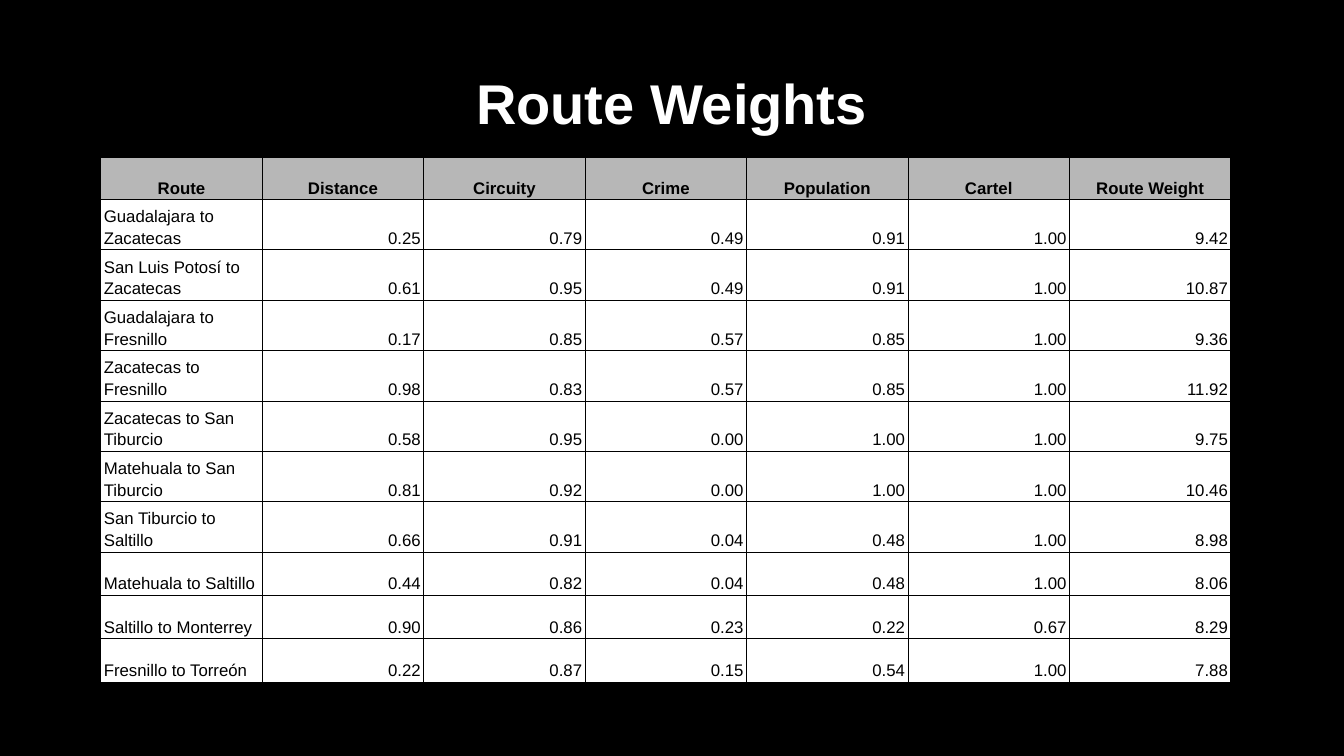
"""Build the Route Weights slide: a title above a table of route scores."""
from lxml.etree import SubElement
from pptx import Presentation
from pptx.dml.color import RGBColor
from pptx.enum.text import MSO_ANCHOR, PP_ALIGN
from pptx.oxml.ns import qn
from pptx.util import Inches, Pt

BLACK = RGBColor(0x00, 0x00, 0x00)
WHITE = RGBColor(0xFF, 0xFF, 0xFF)
HEADER_GRAY = RGBColor(0xB7, 0xB7, 0xB7)

HEADERS = ["Route", "Distance", "Circuity", "Crime", "Population", "Cartel", "Route Weight"]
ROUTES = [
    ["Guadalajara to Zacatecas", 0.25, 0.79, 0.49, 0.91, 1.00, 9.42],
    ["San Luis Potosí to Zacatecas", 0.61, 0.95, 0.49, 0.91, 1.00, 10.87],
    ["Guadalajara to Fresnillo", 0.17, 0.85, 0.57, 0.85, 1.00, 9.36],
    ["Zacatecas to Fresnillo", 0.98, 0.83, 0.57, 0.85, 1.00, 11.92],
    ["Zacatecas to San Tiburcio", 0.58, 0.95, 0.00, 1.00, 1.00, 9.75],
    ["Matehuala to San Tiburcio", 0.81, 0.92, 0.00, 1.00, 1.00, 10.46],
    ["San Tiburcio to Saltillo", 0.66, 0.91, 0.04, 0.48, 1.00, 8.98],
    ["Matehuala to Saltillo", 0.44, 0.82, 0.04, 0.48, 1.00, 8.06],
    ["Saltillo to Monterrey", 0.90, 0.86, 0.23, 0.22, 0.67, 8.29],
    ["Fresnillo to Torreón", 0.22, 0.87, 0.15, 0.54, 1.00, 7.88],
]


def style_paragraph(para, size, color, bold, align, spacing):
    para.alignment = align
    para.line_spacing = spacing
    for span in para.runs:
        span.font.name = "Arial"
        span.font.size = Pt(size)
        span.font.bold = bold
        span.font.color.rgb = color


def add_borders(cell):
    properties = cell._tc.get_or_add_tcPr()
    for side in ("lnL", "lnR", "lnT", "lnB"):
        line = SubElement(properties, qn(f"a:{side}"), w=str(Pt(0.75)))
        fill = SubElement(line, qn("a:solidFill"))
        SubElement(fill, qn("a:srgbClr"), val=str(BLACK))


deck = Presentation()
deck.slide_width = Inches(13.33)
deck.slide_height = Inches(7.5)
page = deck.slides.add_slide(deck.slide_layouts[6])
page.background.fill.solid()
page.background.fill.fore_color.rgb = BLACK

title = page.shapes.add_textbox(Inches(1), Inches(0.33), Inches(11.32), Inches(1.45))
title.text_frame.word_wrap = True
title.text_frame.vertical_anchor = MSO_ANCHOR.MIDDLE
title.text_frame.text = "Route Weights"
style_paragraph(title.text_frame.paragraphs[0], 40, WHITE, True, PP_ALIGN.CENTER, 0.9)

frame = page.shapes.add_table(
    len(ROUTES) + 1, len(HEADERS), Inches(1), Inches(1.56), Inches(11.21), Inches(4.67)
)
table = frame.table
for row_index, values in enumerate([HEADERS] + ROUTES):
    is_header = row_index == 0
    table.rows[row_index].height = Inches(0.42 if row_index < 6 else 0.43)
    for column_index, value in enumerate(values):
        cell = table.cell(row_index, column_index)
        cell.margin_left = cell.margin_right = Inches(0.03)
        cell.margin_top = cell.margin_bottom = Inches(0.02)
        cell.vertical_anchor = MSO_ANCHOR.BOTTOM
        add_borders(cell)
        cell.fill.solid()
        cell.fill.fore_color.rgb = HEADER_GRAY if is_header else WHITE
        if is_header:
            align = PP_ALIGN.CENTER
        else:
            align = PP_ALIGN.RIGHT if column_index else PP_ALIGN.LEFT
        cell.text_frame.text = value if isinstance(value, str) else f"{value:.2f}"
        style_paragraph(cell.text_frame.paragraphs[0], 12, BLACK, is_header, align, 1.15)

deck.save("out.pptx")
